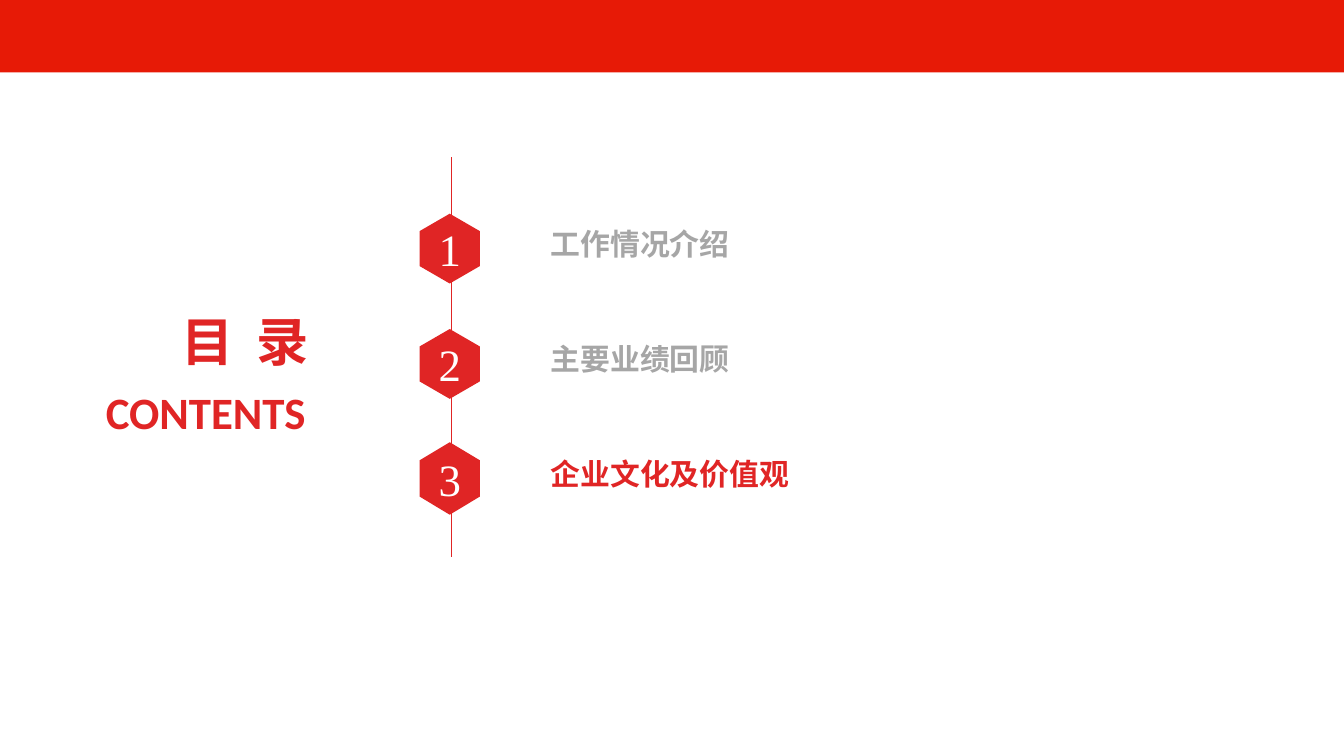
from lxml.etree import SubElement
from pptx import Presentation
from pptx.dml.color import RGBColor
from pptx.enum.shapes import MSO_CONNECTOR as Connector, MSO_SHAPE as Shape
from pptx.enum.text import MSO_ANCHOR as Anchor, MSO_AUTO_SIZE as AutoSize, PP_ALIGN as Align
from pptx.oxml.ns import qn
from pptx.util import Cm, Pt

RED, GRAY, WHITE = "E02525", "A6A6A6", "FFFFFF"
CJK, LATIN, SERIF = "Noto Sans CJK SC", "Calibri", "Times New Roman"


def color(value):
    return RGBColor.from_string(value)


def write(frame, text, size, font, ink, bold=True, align=Align.LEFT, anchor=Anchor.MIDDLE):
    frame.word_wrap = True
    frame.vertical_anchor = anchor
    paragraph = frame.paragraphs[0]
    paragraph.text = text
    paragraph.alignment = align
    paragraph.font.size = Pt(size)
    paragraph.font.bold = bold
    paragraph.font.color.rgb = color(ink)
    paragraph.font.name = font
    defaults = paragraph._p.pPr.find(qn("a:defRPr"))
    SubElement(defaults, qn("a:ea")).set("typeface", font)
    return defaults


prs = Presentation()
prs.slide_width, prs.slide_height = Cm(25.4), Cm(14.29)
slide = prs.slides.add_slide(prs.slide_layouts[5])
shapes = slide.shapes

band = shapes.add_shape(Shape.RECTANGLE, 0, 0, prs.slide_width, Cm(1.37))
band.shadow.inherit = False
band.fill.solid()
band.fill.fore_color.rgb = color("E71A06")
band.line.fill.background()

spine = shapes.add_connector(Connector.STRAIGHT, Cm(8.53), Cm(2.97), Cm(8.53), Cm(10.52))
spine.line.color.rgb = color(RED)
spine.line.width = Pt(0.75)
SubElement(spine._element.spPr, qn("a:effectLst"))

heading = shapes.title
heading.left, heading.top, heading.width, heading.height = Cm(3.18), Cm(5.72), Cm(3.53), Cm(1.45)
heading_defaults = write(heading.text_frame, "目 录", 28, CJK, RED, anchor=Anchor.TOP)
heading_defaults.set("spc", "300")
heading.text_frame.auto_size = AutoSize.SHAPE_TO_FIT_TEXT

subheading = shapes.add_textbox(Cm(1.75), Cm(7.14), Cm(5.46), Cm(1.27))
write(subheading.text_frame, "CONTENTS", 24, LATIN, RED, anchor=Anchor.TOP)
subheading.text_frame.auto_size = AutoSize.SHAPE_TO_FIT_TEXT

chapters = [
    ("工作情况介绍", GRAY, 10.08, 4.04, 1.32),
    ("主要业绩回顾", GRAY, 10.44, 6.22, 1.32),
    ("企业文化及价值观", RED, 8.51, 8.36, 1.37),
]
left, middle, right = 7.93, 8.5, 9.07
for index, (chapter, ink, width, top, height) in enumerate(chapters):
    label = shapes.add_textbox(Cm(10.16), Cm(4.04 + 2.18 * index), Cm(width), Cm(1.12))
    write(label.text_frame, chapter, 16, CJK, ink)

    upper, lower, bottom = top + height / 4, top + height * 3 / 4, top + height
    corners = [(right, upper), (right, lower), (middle, bottom), (left, lower), (left, upper)]
    outline = shapes.build_freeform(Cm(middle), Cm(top))
    outline.add_line_segments([(Cm(x), Cm(y)) for x, y in corners], close=True)
    badge = outline.convert_to_shape()
    badge.shadow.inherit = False
    badge.fill.solid()
    badge.fill.fore_color.rgb = color(RED)
    badge.line.fill.background()
    write(badge.text_frame, str(index + 1), 24, SERIF, WHITE, bold=False, align=Align.CENTER)

prs.save("out.pptx")
